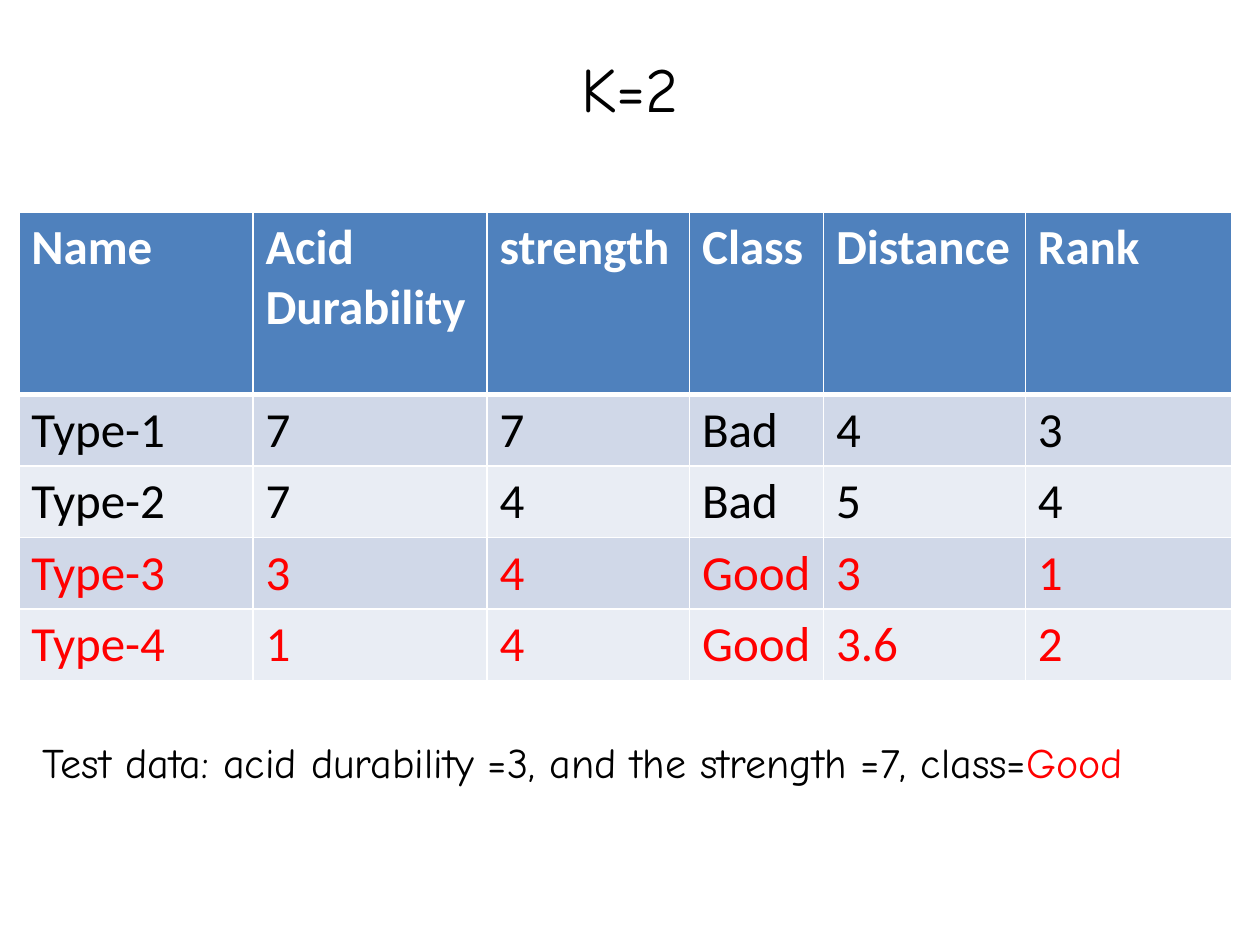
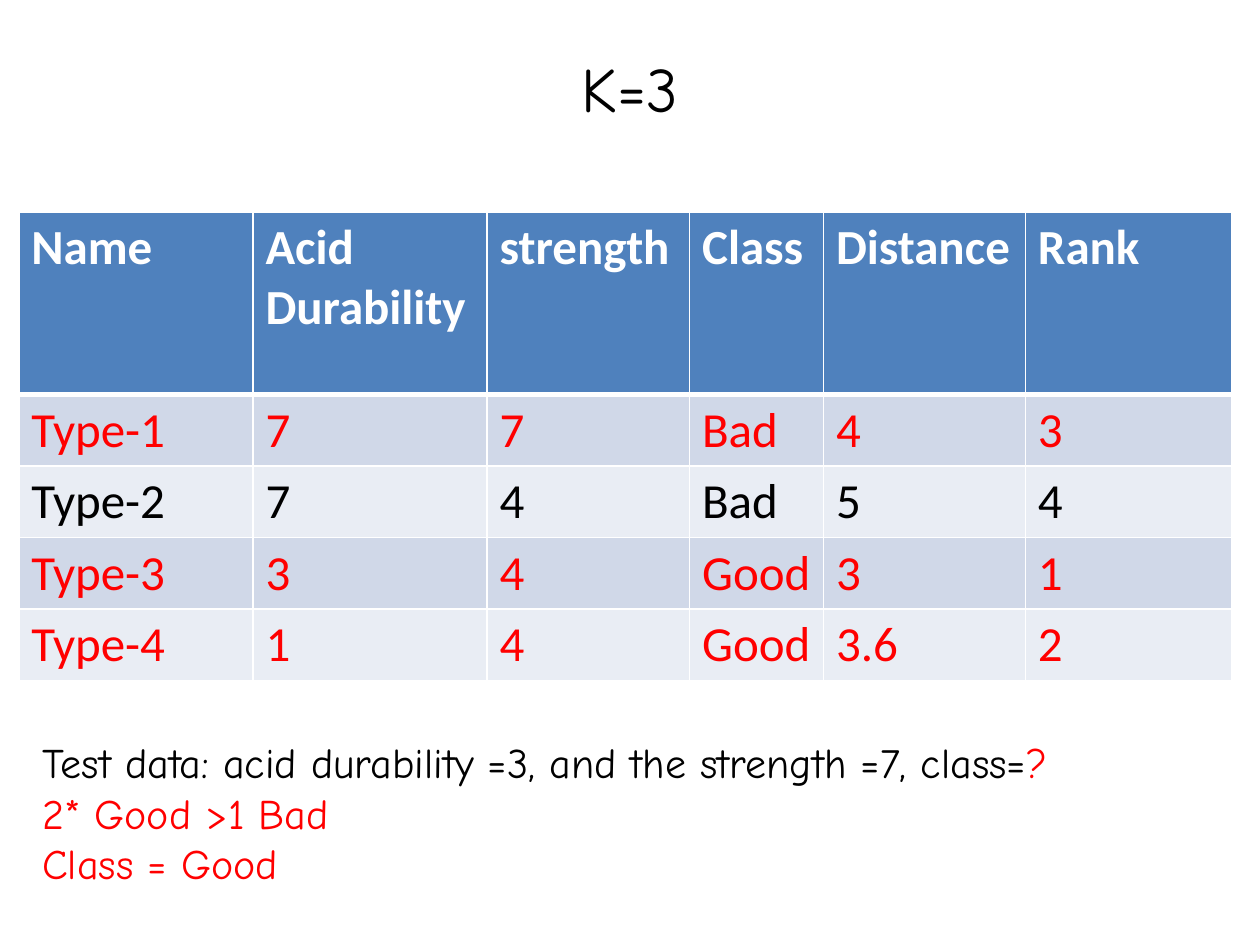
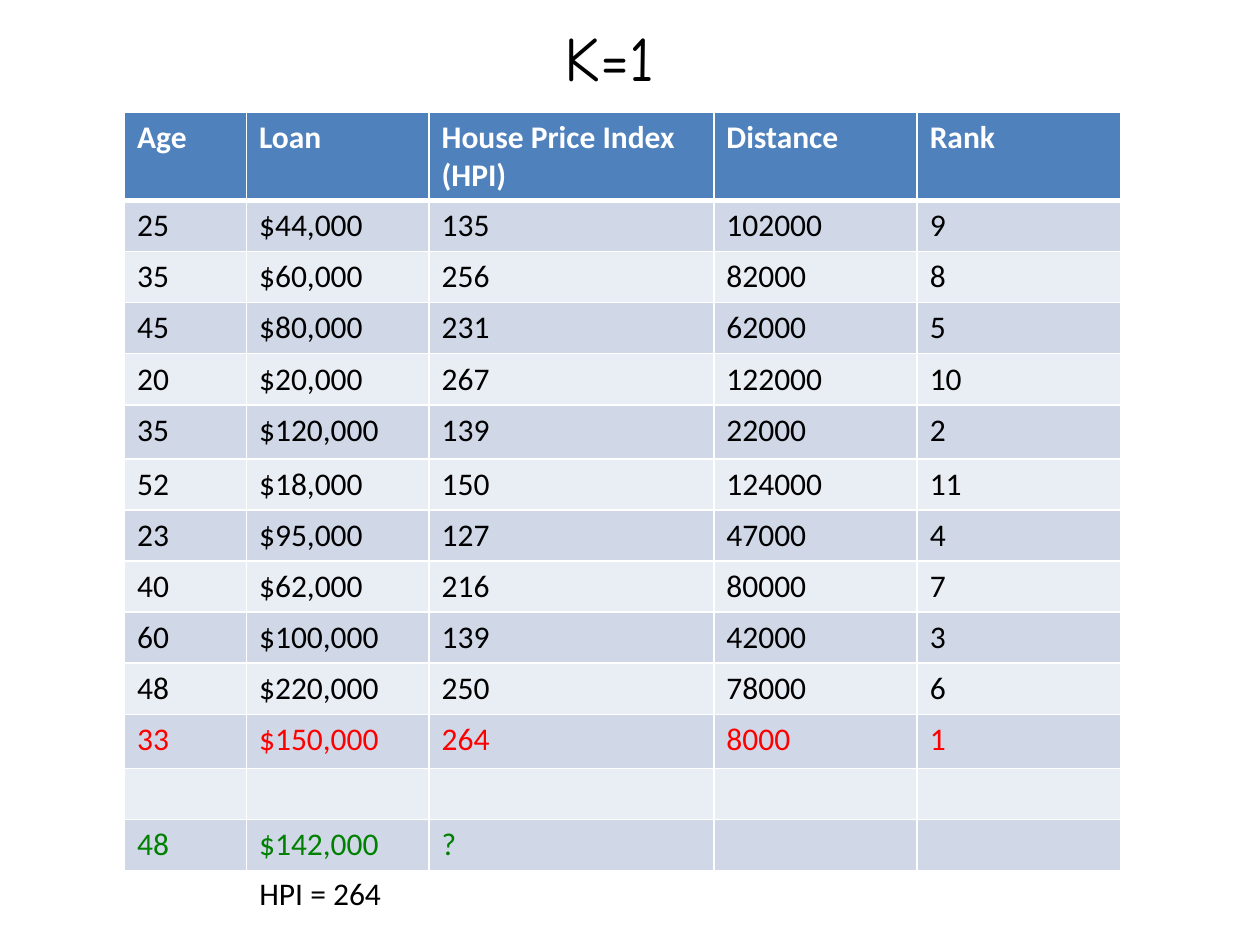
from lxml.etree import SubElement
from pptx import Presentation
from pptx.dml.color import RGBColor
from pptx.enum.text import MSO_ANCHOR, PP_ALIGN
from pptx.oxml.ns import qn
from pptx.util import Cm, Pt

# Shared look
TITLE_FONT, TABLE_FONT = "Comic Neue", "Calibri"
BLACK, WHITE, RED, GREEN = "000000", "FFFFFF", "FF0000", "008000"
HEADER_FILL = "4F81BD"
BAND_FILLS = ["D0D8E8", "E9EDF4"]
TEST_DATA = "Test data: acid durability =3, and the strength =7, class="

# Table contents
MATERIALS = [
    ["Name", "Acid Durability", "strength", "Class", "Distance", "Rank"],
    ["Type-1", "7", "7", "Bad", "4", "3"],
    ["Type-2", "7", "4", "Bad", "5", "4"],
    ["Type-3", "3", "4", "Good", "3", "1"],
    ["Type-4", "1", "4", "Good", "3.6", "2"],
]
LOANS = [
    ["Age", "Loan", "House Price Index (HPI)", "Distance", "Rank"],
    ["25", "$44,000", "135", "102000", "9"],
    ["35", "$60,000", "256", "82000", "8"],
    ["45", "$80,000", "231", "62000", "5"],
    ["20", "$20,000", "267", "122000", "10"],
    ["35", "$120,000", "139", "22000", "2"],
    ["52", "$18,000", "150", "124000", "11"],
    ["23", "$95,000", "127", "47000", "4"],
    ["40", "$62,000", "216", "80000", "7"],
    ["60", "$100,000", "139", "42000", "3"],
    ["48", "$220,000", "250", "78000", "6"],
    ["33", "$150,000", "264", "8000", "1"],
    ["", "", "", "", ""],
    ["48", "$142,000", "?", "", ""],
]


def rgb(color):
    return RGBColor.from_string(color)


def style_run(run, font, size, color, bold=False):
    run.font.name = font
    run.font.size = Pt(size)
    run.font.bold = bold
    run.font.color.rgb = rgb(color)


def add_text(slide, box, lines, font, size):
    """Each line is a list of (text, color) pieces."""
    shape = slide.shapes.add_textbox(*map(Cm, box))
    text_frame = shape.text_frame
    text_frame.word_wrap = True
    for index, pieces in enumerate(lines):
        paragraph = text_frame.add_paragraph() if index else text_frame.paragraphs[0]
        for text, color in pieces:
            run = paragraph.add_run()
            run.text = text
            style_run(run, font, size, color)
    return text_frame


def add_title(slide, box, text):
    text_frame = add_text(slide, box, [[(text, BLACK)]], TITLE_FONT, 36)
    text_frame.vertical_anchor = MSO_ANCHOR.MIDDLE
    text_frame.paragraphs[0].alignment = PP_ALIGN.CENTER


def add_borders(cell, top, bottom):
    properties = cell._tc.get_or_add_tcPr()
    for side, width in (("L", 1), ("R", 1), ("T", top), ("B", bottom)):
        line = SubElement(properties, qn(f"a:ln{side}"), w=str(Pt(width)))
        fill = SubElement(line, qn("a:solidFill"))
        SubElement(fill, qn("a:srgbClr"), val=WHITE)


def add_data_table(slide, left, top, rows, widths, heights, size, row_colors):
    """row_colors maps a row number to its text color; other rows are black."""
    frame = slide.shapes.add_table(len(rows), len(widths), Cm(left), Cm(top),
                                   Cm(sum(widths)), Cm(sum(heights)))
    table = frame.table
    for column, width in zip(table.columns, widths):
        column.width = Cm(width)
    for row_number, (row, height) in enumerate(zip(rows, heights)):
        header = row_number == 0
        table.rows[row_number].height = Cm(height)
        color = WHITE if header else row_colors.get(row_number, BLACK)
        fill = HEADER_FILL if header else BAND_FILLS[(row_number - 1) % 2]
        for column_number, text in enumerate(row):
            cell = table.cell(row_number, column_number)
            add_borders(cell, 3 if row_number == 1 else 1, 3 if header else 1)
            cell.fill.solid()
            cell.fill.fore_color.rgb = rgb(fill)
            if text:
                cell.text_frame.text = text
                style_run(cell.text_frame.paragraphs[0].runs[0],
                          TABLE_FONT, size, color, header)


def add_materials_slide(slide, title, nearest, answer, conclusions=()):
    add_title(slide, (1.27, 0.66, 22.86, 2.2), title)
    lines = [[(TEST_DATA, BLACK), (answer, RED)]]
    lines += [[(text, RED)] for text in conclusions]
    add_text(slide, (0.6, 14.73, 23.52, 3.33 if conclusions else 2.3),
             lines, TITLE_FONT, 24)
    add_data_table(slide, 0.38, 4.27, MATERIALS,
                   [4.72, 4.72, 4.08, 2.7, 4.07, 4.17], [3.68] + [1.43] * 4,
                   28, dict.fromkeys(nearest, RED))


def add_loans_slide(slide):
    add_title(slide, (0.86, 0, 22.86, 2.26), "K=1")
    tall_rows = (5, 11)
    heights = [1.78] + [1.09 if row in tall_rows else 1.03
                        for row in range(1, len(LOANS))]
    add_data_table(slide, 2.51, 2.26, LOANS, [2.46, 3.68, 5.74, 4.1, 4.1],
                   heights, 18, {11: RED, 13: GREEN})
    # Predicted value
    add_text(slide, (4.98, 17.5, 21.2, 1.02), [[("HPI = 264", BLACK)]],
             TABLE_FONT, 18)


def main():
    presentation = Presentation()
    presentation.slide_width, presentation.slide_height = Cm(25.4), Cm(19.05)
    blank = presentation.slide_layouts[6]
    add_materials_slide(presentation.slides.add_slide(blank), "K=2", (3, 4), "Good")
    add_materials_slide(presentation.slides.add_slide(blank), "K=3", (1, 3, 4), "?",
                        ("2* Good >1 Bad", "Class = Good"))
    add_loans_slide(presentation.slides.add_slide(blank))
    presentation.save("out.pptx")


if __name__ == "__main__":
    main()
